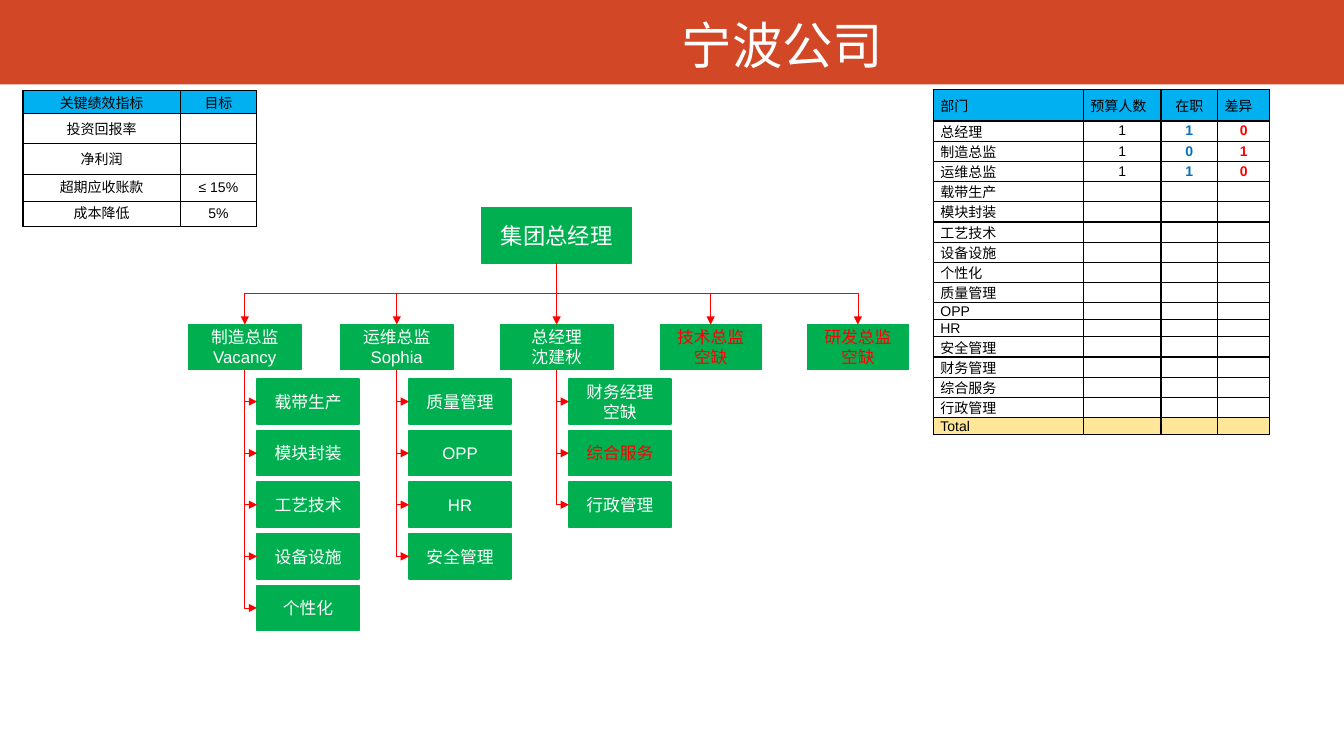
from lxml import etree
from pptx import Presentation
from pptx.dml.color import RGBColor
from pptx.enum.shapes import MSO_CONNECTOR, MSO_SHAPE
from pptx.enum.text import MSO_ANCHOR, PP_ALIGN
from pptx.oxml.ns import qn
from pptx.util import Cm, Pt

COLORS = {
    "banner": "D24726", "white": "FFFFFF", "black": "000000", "green": "00B050",
    "red": "FF0000", "blue": "0070C0", "header": "00B0F0", "total": "FFE699",
}
CJK_FONT = "Noto Sans CJK SC"

KPIS = [("关键绩效指标", "目标"), ("投资回报率", ""), ("净利润", ""),
        ("超期应收账款", "≤ 15%"), ("成本降低", "5%")]
KPI_ROW_HEIGHTS = [0.56, 0.69, 0.69, 0.69, 0.58]

HEADCOUNT = [
    ("部门", "预算人数", "在职", "差异"),
    ("总经理", "1", "1", "0"), ("制造总监", "1", "0", "1"), ("运维总监", "1", "1", "0"),
    *[(department, "", "", "") for department in (
        "载带生产", "模块封装", "工艺技术", "设备设施", "个性化", "质量管理", "OPP",
        "HR", "安全管理", "财务管理", "综合服务", "行政管理", "Total")],
]

# Director: centre x within the chart, width, lines, text colour, staff
DIRECTORS = [
    (1.42, 2.84, ["制造总监", "Vacancy"], "white",
     ["载带生产", "模块封装", "工艺技术", "设备设施", "个性化"]),
    (5.25, 2.84, ["运维总监", "Sophia"], "white", ["质量管理", "OPP", "HR", "安全管理"]),
    (9.28, 2.84, ["总经理", "沈建秋"], "white", ["财务经理\n空缺", "综合服务", "行政管理"]),
    (13.16, 2.54, ["技术总监", "空缺"], "red", []),
    (16.87, 2.54, ["研发总监", "空缺"], "red", []),
]
RED_STAFF = {"综合服务"}


def rgb(color):
    return RGBColor.from_string(COLORS[color])


def add_text(paragraph, text, size, color, bold=False, font="Arial"):
    run = paragraph.add_run()
    run.text = text
    run.font.size = Pt(size)
    run.font.bold = bold
    run.font.name = font
    run.font.color.rgb = rgb(color)
    etree.SubElement(run.font._element, qn("a:ea"), typeface=CJK_FONT)


def add_banner(slide, width, height):
    banner = slide.shapes.add_shape(MSO_SHAPE.RECTANGLE, 0, 0, width, height)
    banner.shadow.inherit = False
    banner.fill.solid()
    banner.fill.fore_color.rgb = rgb("banner")
    banner.line.fill.background()

    # The title sits in front of the banner
    title = slide.shapes.title
    banner._element.addnext(title._element)
    title.left, title.top = Cm(5.66), Cm(0.15)
    title.width, title.height = Cm(28.12), Cm(1.85)
    title.text_frame.vertical_anchor = MSO_ANCHOR.BOTTOM
    heading = title.text_frame.paragraphs[0]
    heading.alignment = PP_ALIGN.CENTER
    add_text(heading, "宁波公司", 36, "white", font=CJK_FONT)


# Tables
def add_borders(cell):
    properties = cell._tc.get_or_add_tcPr()
    for position, side in enumerate(("lnL", "lnR", "lnT", "lnB")):
        border = etree.Element(qn(f"a:{side}"), w=str(Pt(1)))
        fill = etree.SubElement(border, qn("a:solidFill"))
        etree.SubElement(fill, qn("a:srgbClr"), val=COLORS["black"])
        properties.insert(position, border)


def add_grid(slide, left, top, widths, heights):
    frame = slide.shapes.add_table(len(heights), len(widths), Cm(left), Cm(top),
                                   Cm(sum(widths)), Cm(sum(heights)))
    grid = frame.table
    grid.first_row = grid.horz_banding = False
    for column, width in zip(grid.columns, widths):
        column.width = Cm(width)
    for row, height in zip(grid.rows, heights):
        row.height = Cm(height)
    return grid


def fill_cell(cell, text, align, fill=None, color="black", bold=False, pad=(0.18, 0)):
    cell.margin_left = cell.margin_right = Cm(pad[0])
    cell.margin_top = cell.margin_bottom = Cm(pad[1])
    cell.vertical_anchor = MSO_ANCHOR.MIDDLE
    if fill:
        cell.fill.solid()
        cell.fill.fore_color.rgb = rgb(fill)
    else:
        cell.fill.background()
    add_borders(cell)
    paragraph = cell.text_frame.paragraphs[0]
    paragraph.alignment = align
    if text:
        add_text(paragraph, text, 10, color, bold)
    else:
        paragraph._p.get_or_add_endParaRPr().set("sz", "1000")
    return paragraph


def add_kpi_table(slide, left, top):
    grid = add_grid(slide, left, top, [3.96, 1.93], KPI_ROW_HEIGHTS)
    for r, row in enumerate(KPIS):
        for c, text in enumerate(row):
            paragraph = fill_cell(grid.cell(r, c), text, PP_ALIGN.CENTER,
                                  fill=None if r else "header",
                                  pad=(0.25, 0.13) if r else (0.18, 0))
            if r >= 3:
                paragraph.line_spacing = (0.7, 0.95)[c]


def add_headcount_table(slide, left, top):
    heights = [0.79] + [0.41] * (len(HEADCOUNT) - 1)
    grid = add_grid(slide, left, top, [3.78, 1.96, 1.42, 1.32], heights)
    for r, row in enumerate(HEADCOUNT):
        fill = "header" if r == 0 else "total" if row[0] == "Total" else None
        for c, text in enumerate(row):
            justified = c == 0 or (r == 0 and c != 2)
            fill_cell(grid.cell(r, c), text,
                      PP_ALIGN.JUSTIFY if justified else PP_ALIGN.CENTER, fill,
                      color=("black", "black", "blue", "red")[c] if r else "black",
                      bold=r > 0 and c >= 2)


# Organisation chart
def add_post(slide, left, top, width, height, lines, color="white", size=12):
    post = slide.shapes.add_shape(MSO_SHAPE.RECTANGLE, Cm(left), Cm(top), Cm(width), Cm(height))
    post.shadow.inherit = False
    post.fill.solid()
    post.fill.fore_color.rgb = rgb("green")
    post.line.color.rgb = rgb("green")
    post.line.width = Pt(1)
    frame = post.text_frame
    frame.word_wrap = True
    frame.vertical_anchor = MSO_ANCHOR.MIDDLE
    for i, line in enumerate(lines):
        paragraph = frame.add_paragraph() if i else frame.paragraphs[0]
        paragraph.alignment = PP_ALIGN.CENTER
        add_text(paragraph, line, size, color)
    return post


def add_report_line(slide, boss, report, to_side=False):
    """Run down from the boss, then across to the top or left side of the report."""
    x1, y1 = boss.left + boss.width // 2, boss.top + boss.height
    x2 = report.left if to_side else report.left + report.width // 2
    y2 = report.top + report.height // 2 if to_side else report.top
    arrow = slide.shapes.add_connector(MSO_CONNECTOR.ELBOW, x1, y1, x2, y2)
    arrow.begin_connect(boss, 2)
    arrow.end_connect(report, 1 if to_side else 0)

    # A quarter turn makes the elbow start vertically
    arrow.width, arrow.height = y2 - y1, abs(x2 - x1)
    arrow.left = (x1 + x2 - arrow.width) // 2
    arrow.top = (y1 + y2 - arrow.height) // 2
    properties = arrow._element.spPr
    turn = properties.find(qn("a:xfrm"))
    leftward = x2 < x1
    turn.set("rot", "5400000" if leftward else "16200000")
    turn.set("flipH", "0" if leftward else "1")
    turn.set("flipV", "0")
    if to_side:
        properties.find(qn("a:prstGeom")).set("prst", "bentConnector2")

    arrow.line.color.rgb = rgb("red")
    arrow.line.width = Pt(0.5)
    etree.SubElement(arrow.line._get_or_add_ln(), qn("a:tailEnd"), type="triangle")
    etree.SubElement(properties, qn("a:effectLst"))


def add_org_chart(slide, left, top):
    post_height, staff_pitch = 1.14, 1.3
    head = add_post(slide, left + 7.39, top, 3.78, 1.4, ["集团总经理"], size=16)
    for centre, width, lines, color, staff in DIRECTORS:
        director = add_post(slide, left + centre - width / 2, top + 2.95,
                            width, post_height, lines, color)
        add_report_line(slide, head, director)
        for i, name in enumerate(staff):
            member = add_post(slide, left + centre + 0.31, top + 4.32 + i * staff_pitch,
                              2.57, post_height, name.split("\n"),
                              "red" if name in RED_STAFF else "white")
            add_report_line(slide, director, member, to_side=True)


def main():
    deck = Presentation()
    deck.slide_width, deck.slide_height = Cm(33.87), Cm(19.05)
    slide = deck.slides.add_slide(deck.slide_layouts[5])
    add_banner(slide, deck.slide_width, Cm(2.13))
    add_kpi_table(slide, 0.58, 2.29)
    add_headcount_table(slide, 23.52, 2.26)
    add_org_chart(slide, 4.75, 5.23)
    deck.save("out.pptx")


if __name__ == "__main__":
    main()
